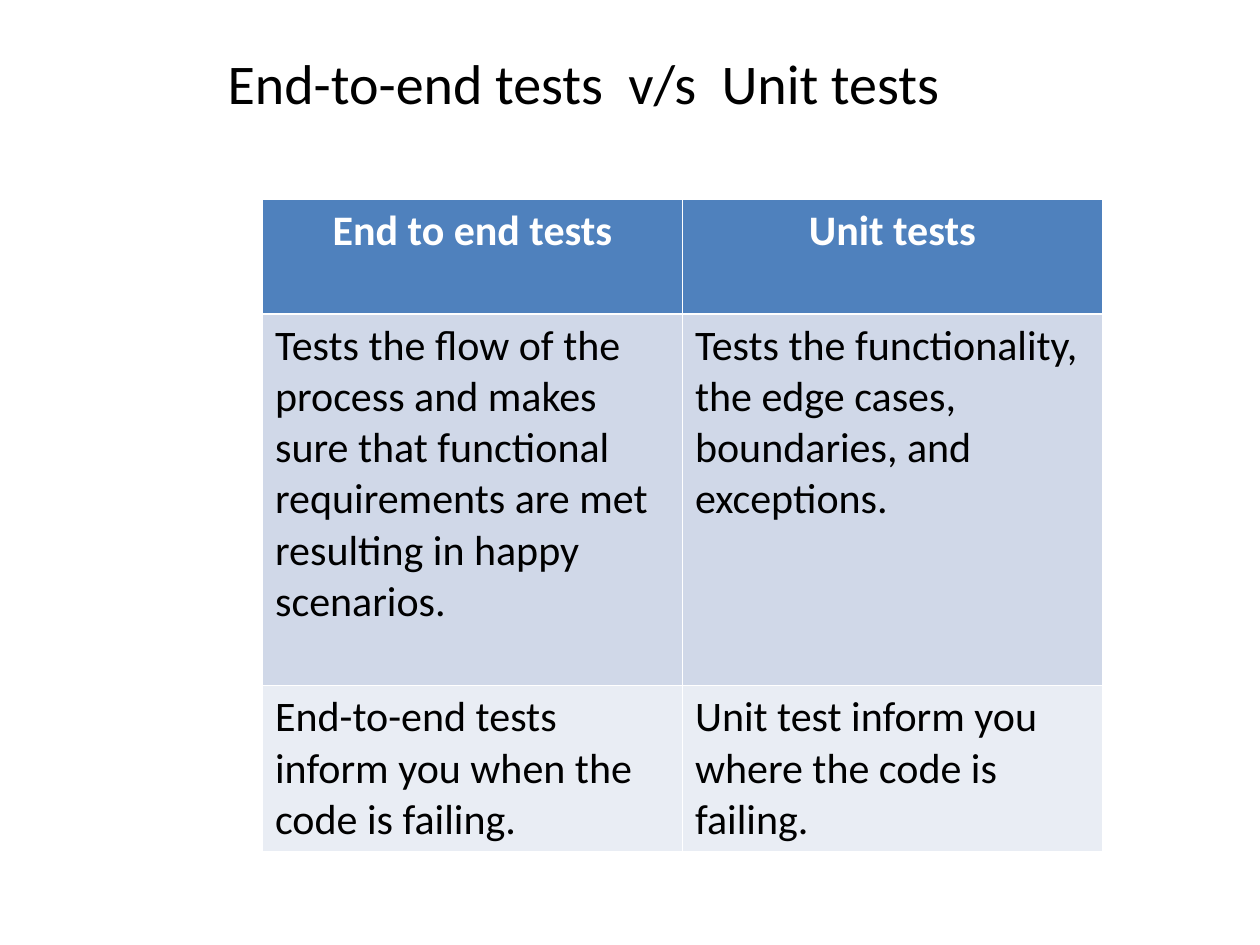
import pptx
import pptx.dml.color
import pptx.enum.text
import pptx.util

COLUMNS, ROWS = 120, 90  # grid over the whole slide
ALIGN = pptx.enum.text.PP_ALIGN


def color(hex_string):
    return pptx.dml.color.RGBColor.from_string(hex_string)


class ComparisonSlide:
    font_name = "Calibri"
    title_size, cell_size = 32, 24
    ink, header_ink = "000000", "FFFFFF"
    row_fills = ["4F81BD", "D0D8E8", "E9EDF4"]

    def __init__(self, presentation):
        self.column = presentation.slide_width / COLUMNS
        self.row = presentation.slide_height / ROWS
        self.slide = presentation.slides.add_slide(presentation.slide_layouts[5])

    def box(self, left, top, width, height):
        return (round(left * self.column), round(top * self.row),
                round(width * self.column), round(height * self.row))

    def set_text(self, frame, text, size, ink, align, bold=False):
        paragraph = frame.paragraphs[0]
        paragraph.text = text
        paragraph.alignment = align
        paragraph.font.name = self.font_name
        paragraph.font.size = pptx.util.Pt(size)
        paragraph.font.bold = bold
        paragraph.font.color.rgb = color(ink)

    def title(self, text, left, top, width, height, right_inset):
        heading = self.slide.shapes.title
        heading.left, heading.top, heading.width, heading.height = self.box(
            left, top, width, height)
        frame = heading.text_frame
        frame.word_wrap = True
        frame.auto_size = pptx.enum.text.MSO_AUTO_SIZE.SHAPE_TO_FIT_TEXT
        frame.vertical_anchor = pptx.enum.text.MSO_ANCHOR.TOP
        frame.margin_right = round(right_inset * self.column)
        self.set_text(frame, text, self.title_size, self.ink, ALIGN.CENTER)

    def table(self, content, left, top, width, row_heights):
        # The default table style supplies the white rules between cells
        table = self.slide.shapes.add_table(
            len(content), len(content[0]),
            *self.box(left, top, width, sum(row_heights))).table
        for r, (texts, height) in enumerate(zip(content, row_heights)):
            table.rows[r].height = round(height * self.row)
            is_header = r == 0
            for c, text in enumerate(texts):
                cell = table.cell(r, c)
                cell.fill.solid()
                cell.fill.fore_color.rgb = color(self.row_fills[r])
                self.set_text(cell.text_frame, text, self.cell_size,
                              self.header_ink if is_header else self.ink,
                              ALIGN.CENTER if is_header else ALIGN.LEFT,
                              bold=is_header)


def main():
    presentation = pptx.Presentation()
    presentation.slide_width = pptx.util.Inches(10)
    presentation.slide_height = pptx.util.Inches(7.5)
    comparison = ComparisonSlide(presentation)

    # Heading, centred a little left of its box's middle
    comparison.title("End-to-end tests  v/s  Unit tests",
                     left=20, top=4, width=76, height=7.7, right_inset=6)

    # Side-by-side comparison
    comparison.table([
        ["End to end tests", "Unit tests"],
        ["Tests the flow of the process and makes sure that functional "
         "requirements are met resulting in happy scenarios.",
         "Tests the functionality, the edge cases, boundaries, and exceptions."],
        ["End-to-end tests inform you when the code is failing.",
         "Unit test inform you where the code is failing."],
    ], left=25, top=19, width=80, row_heights=[10.9, 35.4, 15.8])

    presentation.save("out.pptx")


if __name__ == "__main__":
    main()
